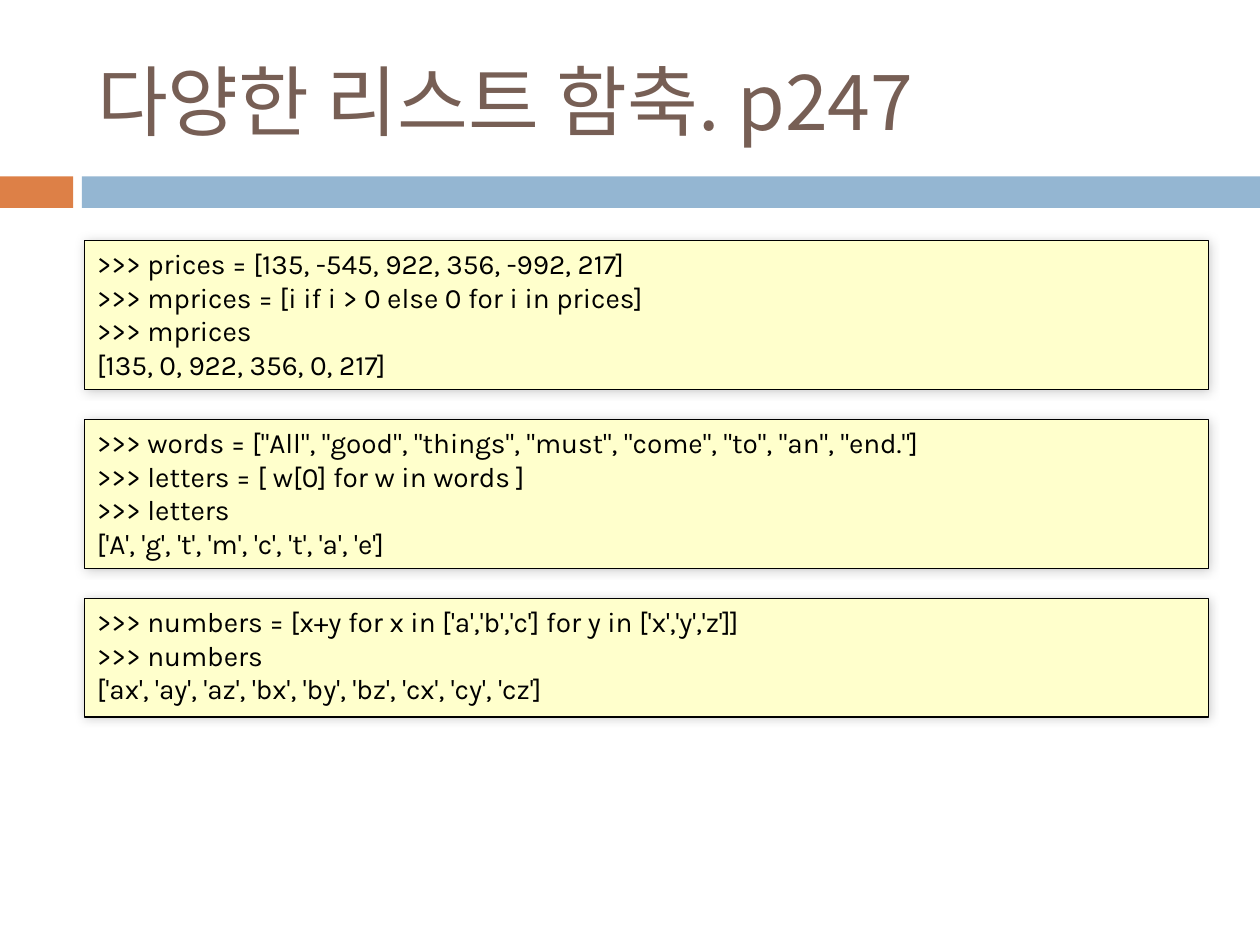
"""Build a slide of list comprehension examples in three code boxes."""
from lxml.etree import SubElement
from pptx import Presentation
from pptx.dml.color import RGBColor
from pptx.enum.shapes import MSO_SHAPE
from pptx.enum.text import MSO_ANCHOR, MSO_AUTO_SIZE, PP_ALIGN
from pptx.oxml.ns import qn
from pptx.util import Inches, Pt

TITLE = "다양한 리스트 함축. p247"
EXAMPLES = [
    [
        ">>> prices = [135, -545, 922, 356, -992, 217]",
        ">>> mprices = [i if i > 0 else 0 for i in prices]",
        ">>> mprices",
        "[135, 0, 922, 356, 0, 217]",
    ],
    [
        '>>> words = ["All", "good", "things", "must", "come", "to", "an", "end."]',
        ">>> letters = [ w[0] for w in words ]",
        ">>> letters",
        "['A', 'g', 't', 'm', 'c', 't', 'a', 'e']",
    ],
    [
        ">>> numbers = [x+y for x in ['a','b','c'] for y in ['x','y','z']]",
        ">>> numbers",
        "['ax', 'ay', 'az', 'bx', 'by', 'bz', 'cx', 'cy', 'cz']",
    ],
]
COLORS = {
    "accent": "DD8047",
    "band": "94B6D2",
    "title": "775F55",
    "code_fill": "FFFFCC",
    "ink": "000000",
}
TITLE_FONT, CODE_FONT = "Noto Sans CJK KR", "Karla"
WIDTH, HEIGHT = 10, 7.5
LEFT, CONTENT_WIDTH = 0.67, 8.92
BAND_TOP, BAND_HEIGHT = 1.4, 0.25
ACCENT_WIDTH, BAND_LEFT = 0.58, 0.65
CODE_TOP, CODE_GAP = 1.91, 0.24
CODE_BASE, CODE_LINE = 0.22, 0.24


def rgb(name):
    return RGBColor.from_string(COLORS[name])


def add_text(p, text, font, size, color):
    p.alignment = PP_ALIGN.LEFT
    r = p.add_run()
    r.text = text
    r.font.name, r.font.size = font, Pt(size)
    r.font.color.rgb = rgb(color)
    SubElement(r.font._element, qn("a:ea"), typeface=font)


def add_rect(s, left, top, width, height, fill):
    sp = s.shapes.add_shape(MSO_SHAPE.RECTANGLE, *map(Inches, (left, top, width, height)))
    sp.shadow.inherit = False
    sp.fill.solid()
    sp.fill.fore_color.rgb = rgb(fill)
    sp.line.fill.background()
    return sp


def add_shadow(sp):
    effects = sp._element.spPr.find(qn("a:effectLst"))
    shadow = SubElement(effects, qn("a:outerShdw"), blurRad=str(Pt(6)), dist="0",
                        dir=str(315 * 60000), algn="ctr", rotWithShape="0")
    color = SubElement(shadow, qn("a:srgbClr"), val=COLORS["ink"])
    SubElement(color, qn("a:alpha"), val="20000")


def add_code(s, top, height, lines):
    sp = add_rect(s, LEFT, top, CONTENT_WIDTH, height, "code_fill")
    sp.line.color.rgb = rgb("ink")
    sp.line.width = Pt(0.75)
    add_shadow(sp)
    tf = sp.text_frame
    tf.word_wrap = True
    tf.auto_size = MSO_AUTO_SIZE.SHAPE_TO_FIT_TEXT
    tf.vertical_anchor = MSO_ANCHOR.TOP
    for i, line in enumerate(lines):
        p = tf.add_paragraph() if i else tf.paragraphs[0]
        add_text(p, line, CODE_FONT, 16, "ink")


def main():
    prs = Presentation()
    prs.slide_width, prs.slide_height = Inches(WIDTH), Inches(HEIGHT)
    s = prs.slides.add_slide(prs.slide_layouts[5])

    add_rect(s, 0, BAND_TOP, ACCENT_WIDTH, BAND_HEIGHT, "accent")
    add_rect(s, BAND_LEFT, BAND_TOP, WIDTH - BAND_LEFT, BAND_HEIGHT, "band")

    title = s.shapes.title
    title.left, title.top = Inches(LEFT), Inches(0.25)
    title.width, title.height = Inches(CONTENT_WIDTH), Inches(1.08)
    tf = title.text_frame
    tf.word_wrap = True
    tf.auto_size = MSO_AUTO_SIZE.NONE
    tf.vertical_anchor = MSO_ANCHOR.MIDDLE
    add_text(tf.paragraphs[0], TITLE, TITLE_FONT, 44, "title")

    top = CODE_TOP
    for lines in EXAMPLES:
        height = CODE_BASE + CODE_LINE * len(lines)
        add_code(s, top, height, lines)
        top += height + CODE_GAP

    prs.save("out.pptx")


if __name__ == "__main__":
    main()
